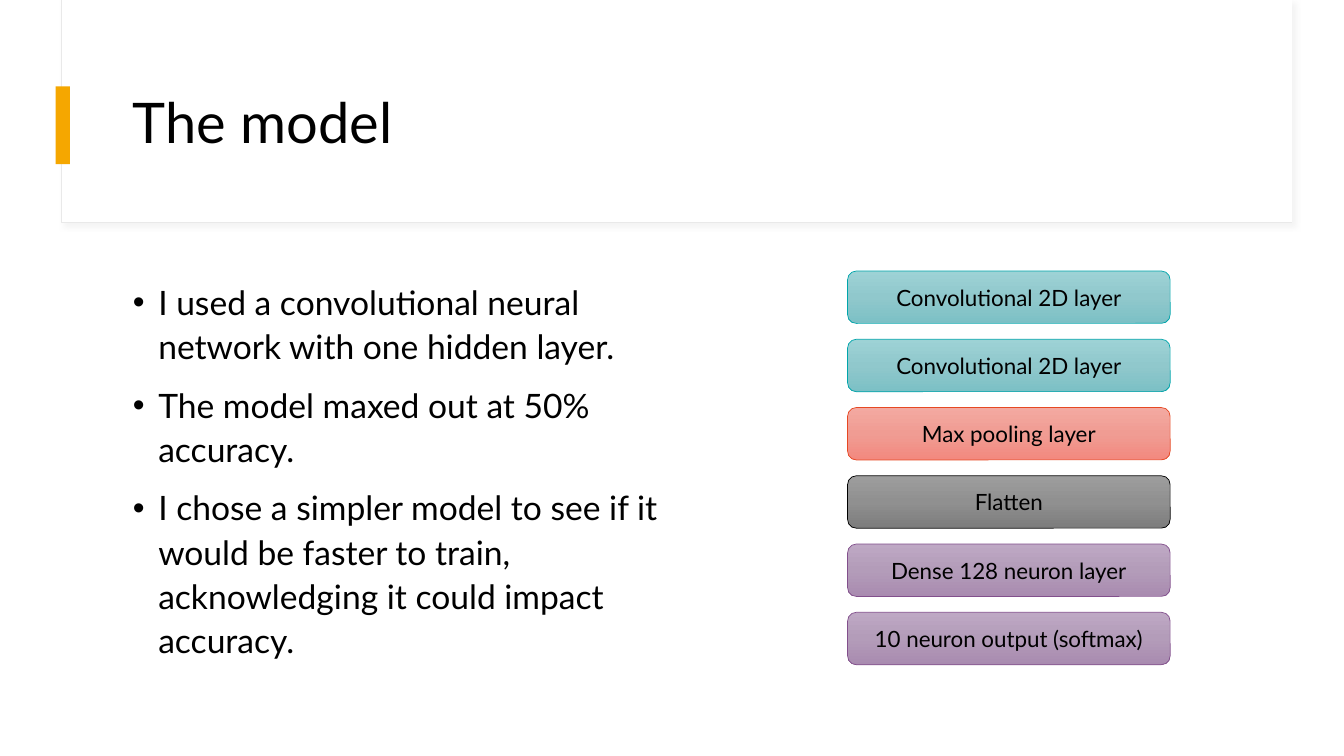
from copy import deepcopy

from lxml.etree import SubElement
from pptx import Presentation
from pptx.dml.color import RGBColor
from pptx.enum.shapes import MSO_SHAPE
from pptx.enum.text import MSO_ANCHOR, PP_ALIGN
from pptx.oxml.ns import qn
from pptx.util import Cm, Pt

FONT = "Lato"
BLACK = "000000"
WHITE = "FFFFFF"
AMBER = "F5A700"

# Gradient from top to bottom, then the outline
TEAL = (("9DD2D5", "90C8CC", "7CC0C5"), "00A5AB")
RED = (("F3A9A1", "F09C93", "F3897F"), "E64823")
GREY = (("9D9D9D", "909090", "7C7C7C"), BLACK)
PURPLE = (("BEA8C4", "B39CB9", "A98BB0"), "824F8C")

LAYERS = [
    ("Convolutional 2D layer", TEAL),
    ("Convolutional 2D layer", TEAL),
    ("Max pooling layer", RED),
    ("Flatten", GREY),
    ("Dense 128 neuron layer", PURPLE),
    ("10 neuron output (softmax)", PURPLE),
]
LAYER_TOP = 6.83
LAYER_STEP = 1.72

POINTS = [
    "I used a convolutional neural network with one hidden layer.",
    "The model maxed out at 50% accuracy.",
    "I chose a simpler model to see if it would be faster to train, "
    "acknowledging it could impact accuracy.",
]


def color(hex_string):
    return RGBColor.from_string(hex_string)


def style_font(font, size):
    font.name = FONT
    font.size = Pt(size)
    font.color.rgb = color(BLACK)


def add_rectangle(slide, left, top, width, height, fill, line=None):
    shape = slide.shapes.add_shape(
        MSO_SHAPE.RECTANGLE, Cm(left), Cm(top), Cm(width), Cm(height))
    shape.shadow.inherit = False
    shape.fill.solid()
    shape.fill.fore_color.rgb = color(fill)
    if line:
        shape.line.color.rgb = color(line)
        shape.line.width = Pt(0.75)
    else:
        shape.line.fill.background()
    return shape


def add_soft_shadow(shape):
    effects = shape._element.spPr.find(qn("a:effectLst"))
    shadow = SubElement(effects, qn("a:outerShdw"), blurRad=str(Pt(4)),
                        dist=str(Pt(3)), dir=str(45 * 60000), rotWithShape="0")
    shadow_color = SubElement(shadow, qn("a:srgbClr"), val="D9D9D9")
    SubElement(shadow_color, qn("a:alpha"), val="30000")


def add_text_frame(slide, left, top, width, height):
    text_box = slide.shapes.add_textbox(Cm(left), Cm(top), Cm(width), Cm(height))
    text_box.text_frame.word_wrap = True
    return text_box.text_frame


def add_title(slide, text):
    text_frame = add_text_frame(slide, 3.1, 1.52, 28.24, 3.28)
    text_frame.vertical_anchor = MSO_ANCHOR.MIDDLE
    text_frame.text = text
    paragraph = text_frame.paragraphs[0]
    paragraph.line_spacing = 0.9
    style_font(paragraph.runs[0].font, 40)


def add_bullets(slide, points):
    text_frame = add_text_frame(slide, 3.1, 6.88, 13.72, 10.26)
    text_frame.text = "\n".join(points)
    for index, paragraph in enumerate(text_frame.paragraphs):
        paragraph.line_spacing = 1.1
        paragraph.space_before = Pt(10 if index else 0)
        properties = paragraph._p.get_or_add_pPr()
        properties.set("marL", str(Cm(0.64)))
        properties.set("indent", str(Cm(-0.64)))
        SubElement(properties, qn("a:buFont"), typeface="Arial")
        SubElement(properties, qn("a:buChar"), char="•")
        style_font(paragraph.runs[0].font, 24)


def fill_gradient(shape, hex_colors):
    """Fill from top to bottom with three evenly spaced colours."""
    shape.fill.gradient()
    shape.fill.gradient_angle = 270
    stop_list = shape._element.spPr.find(qn("a:gradFill")).find(qn("a:gsLst"))
    stop_list.append(deepcopy(stop_list[0]))
    for index, hex_color in enumerate(hex_colors):
        stop = shape.fill.gradient_stops[index]
        stop.position = index / 2
        stop.color.rgb = color(hex_color)


def add_layer(group, top, label, palette):
    gradient, outline = palette
    shape = group.shapes.add_shape(
        MSO_SHAPE.ROUNDED_RECTANGLE, Cm(21.36), Cm(top), Cm(8.13), Cm(1.32))
    shape.shadow.inherit = False
    fill_gradient(shape, gradient)
    shape.line.color.rgb = color(outline)
    shape.line.width = Pt(0.5)
    text_frame = shape.text_frame
    text_frame.vertical_anchor = MSO_ANCHOR.MIDDLE
    text_frame.text = label
    paragraph = text_frame.paragraphs[0]
    paragraph.alignment = PP_ALIGN.CENTER
    style_font(paragraph.runs[0].font, 16)


def main():
    presentation = Presentation()
    presentation.slide_width = Cm(33.87)
    presentation.slide_height = Cm(19.05)
    slide = presentation.slides.add_slide(presentation.slide_layouts[6])

    add_soft_shadow(add_rectangle(slide, 1.55, 0, 31.01, 5.61, WHITE, "E9E9E9"))
    add_rectangle(slide, 1.57, 0, 30.99, 5.59, WHITE)
    add_rectangle(slide, 1.4, 2.18, 0.36, 1.96, AMBER)
    add_title(slide, "The model")
    add_bullets(slide, POINTS)

    group = slide.shapes.add_group_shape()
    for index, (label, palette) in enumerate(LAYERS):
        add_layer(group, LAYER_TOP + index * LAYER_STEP, label, palette)

    presentation.save("out.pptx")


if __name__ == "__main__":
    main()
